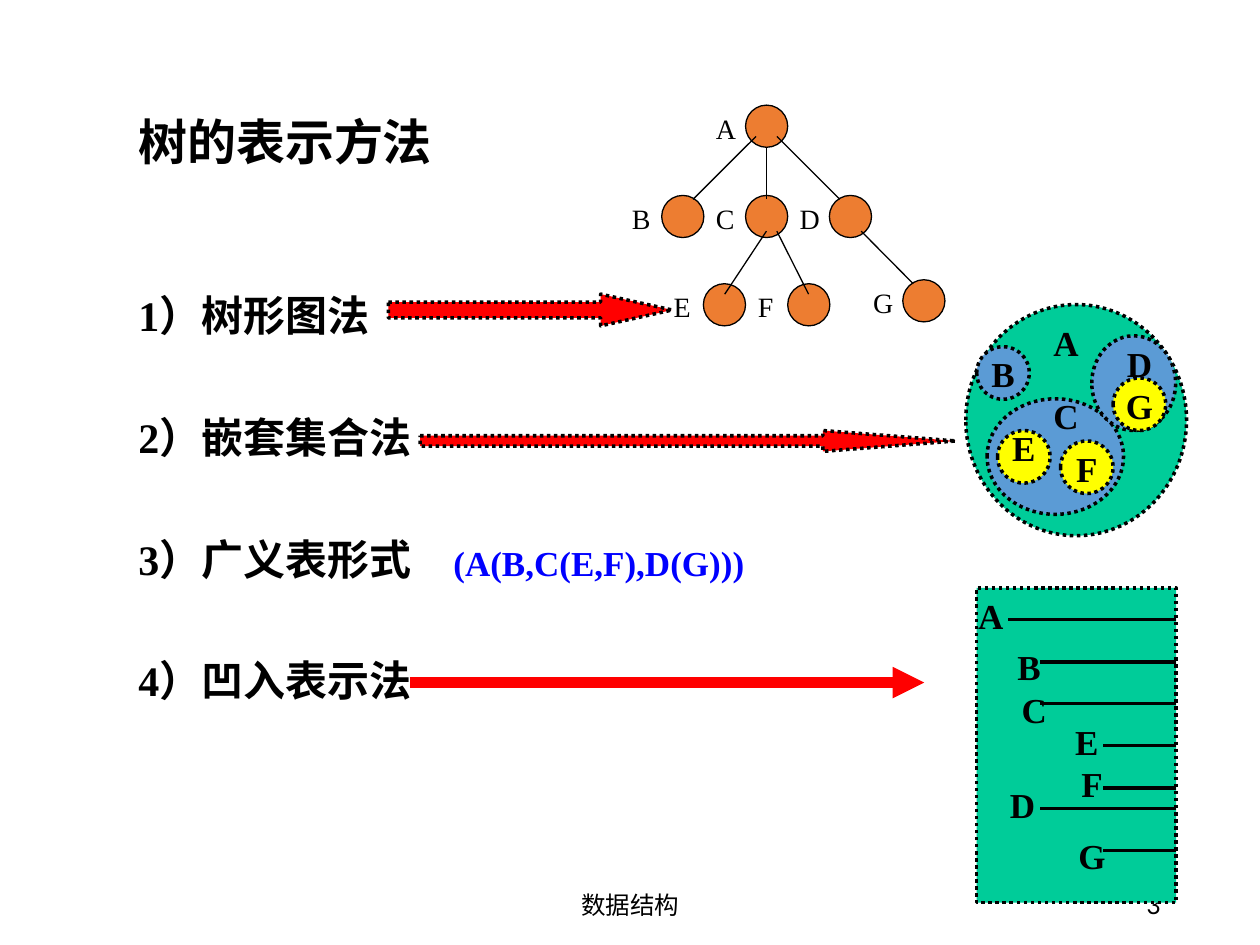
from dataclasses import dataclass
from typing import NamedTuple, Optional

from lxml import etree
from pptx import Presentation
from pptx import util as u
from pptx.dml.color import RGBColor
from pptx.enum import dml, shapes, text
from pptx.oxml.ns import qn


@dataclass(frozen=True)
class Theme:
    ink: str = "000000"
    accent: str = "FF0000"
    formula: str = "0000FF"
    node: str = "ED7D31"
    panel: str = "00CC99"
    subset: str = "5B9BD5"
    leaf: str = "FFFF00"
    serif: str = "Times New Roman"
    heading: str = "Noto Sans CJK SC"
    footer: str = "Lato"
    title_size: float = 28
    method_size: float = 24
    label_size: float = 20
    node_size: float = 16
    footer_size: float = 14
    thin: float = 0.75
    medium: float = 2
    thick: float = 6


class Box(NamedTuple):
    left: float
    top: float
    width: float
    height: float

    def lengths(self) -> list[u.Length]:
        return [u.Cm(value) for value in self]


class Node(NamedTuple):
    letter: str
    left: float
    top: float


class Edge(NamedTuple):
    x1: float
    y1: float
    x2: float
    y2: float


class NestedSet(NamedTuple):
    box: Box
    fill: str


class IndentRow(NamedTuple):
    letter: str
    left: float
    top: float
    width: float
    rule_left: float
    rule_y: float


class Style(NamedTuple):
    size: float
    font: str
    bold: bool = True
    color: str = "000000"
    align: text.PP_ALIGN = text.PP_ALIGN.LEFT
    anchor: text.MSO_ANCHOR = text.MSO_ANCHOR.TOP
    gap: float = 0


THEME = Theme()
TITLE = Style(THEME.title_size, THEME.heading)
METHOD = Style(THEME.method_size, THEME.serif, gap=40.7)
FORMULA = Style(THEME.label_size, THEME.serif, color=THEME.formula)
NODE_LABEL = Style(THEME.node_size, THEME.serif, bold=False)
LABEL = Style(THEME.label_size, THEME.serif, align=text.PP_ALIGN.CENTER)
FOOTER = Style(THEME.footer_size, THEME.footer, bold=False,
               align=text.PP_ALIGN.CENTER, anchor=text.MSO_ANCHOR.BOTTOM)
PAGE = FOOTER._replace(align=text.PP_ALIGN.RIGHT)

NODE_SIZE = 0.85
CIRCLE = 1.06
LABEL_HEIGHT = 1.09

METHODS = ["1）树形图法", "2）嵌套集合法", "3）广义表形式", "4）凹入表示法"]
NODES = [
    Node("A", 15.03, 2.12),
    Node("B", 13.34, 3.94), Node("C", 15.03, 3.94), Node("D", 16.72, 3.94),
    Node("E", 14.18, 5.72), Node("F", 15.88, 5.72), Node("G", 18.2, 5.64),
]
EDGES = [
    Edge(15.66, 2.75, 16.93, 4.02), Edge(15.45, 2.96, 15.45, 4.02),
    Edge(15.24, 2.75, 13.97, 4.02), Edge(15.45, 4.66, 14.61, 5.93),
    Edge(15.66, 4.66, 16.3, 5.93), Edge(17.36, 4.66, 18.41, 5.72),
]
SETS = [
    NestedSet(Box(19.47, 6.14, 4.45, 4.66), THEME.panel),
    NestedSet(Box(19.69, 6.99, CIRCLE, CIRCLE), THEME.subset),
    NestedSet(Box(19.9, 8.04, 2.75, 2.33), THEME.subset),
    NestedSet(Box(21.38, 8.89, CIRCLE, CIRCLE), THEME.leaf),
    NestedSet(Box(20.11, 8.68, CIRCLE, CIRCLE), THEME.leaf),
    NestedSet(Box(22.01, 6.77, 1.69, 1.91), THEME.subset),
    NestedSet(Box(22.44, 7.62, CIRCLE, CIRCLE), THEME.leaf),
]
SET_LABELS = [
    Node("A", 20.96, 6.35), Node("B", 19.69, 6.99), Node("C", 20.96, 7.83),
    Node("E", 20.11, 8.47), Node("F", 21.38, 8.89), Node("D", 22.44, 6.77),
    Node("G", 22.44, 7.62),
]
INDENT_PANEL = Box(19.69, 11.85, 4.02, 6.35)
INDENT_ROWS = [
    IndentRow("A", 19.47, 11.85, 0.64, 20.32, 12.49),
    IndentRow("B", 19.9, 12.88, 1.69, 20.96, 13.34),
    IndentRow("C", 20.32, 13.76, 1.06, 20.96, 14.18),
    IndentRow("E", 21.38, 14.39, 1.06, 22.23, 15.03),
    IndentRow("F", 21.38, 15.24, 1.27, 22.23, 15.88),
    IndentRow("D", 20.11, 15.67, 0.85, 20.96, 16.3),
    IndentRow("G", 21.38, 16.69, 1.27, 22.23, 17.15),
]


def write(slide, box: Box, lines: list[str], style: Style) -> None:
    frame = slide.shapes.add_textbox(*box.lengths()).text_frame
    frame.word_wrap = True
    frame.vertical_anchor = style.anchor
    frame.text = "\n".join(lines)
    for index, paragraph in enumerate(frame.paragraphs):
        paragraph.alignment = style.align
        paragraph.space_before = u.Pt(style.gap if index else 0)
        paragraph.font.name = style.font
        paragraph.font.size = u.Pt(style.size)
        paragraph.font.bold = style.bold
        paragraph.font.color.rgb = RGBColor.from_string(style.color)


def draw_shape(slide, kind: shapes.MSO_SHAPE, box: Box, fill: str,
               width: float = THEME.medium, dotted: bool = True,
               head: Optional[float] = None) -> None:
    outline = slide.shapes.add_shape(kind, *box.lengths())
    outline.shadow.inherit = False
    outline.fill.solid()
    outline.fill.fore_color.rgb = RGBColor.from_string(fill)
    outline.line.color.rgb = RGBColor.from_string(THEME.ink)
    outline.line.width = u.Pt(width)
    if dotted:
        outline.line.dash_style = dml.MSO_LINE.ROUND_DOT
    if head is not None:
        outline.adjustments[1] = head


def draw_line(slide, edge: Edge, width: float, color: str = THEME.ink,
              arrow: bool = False) -> None:
    connector = slide.shapes.add_connector(
        shapes.MSO_CONNECTOR.STRAIGHT, *(u.Cm(value) for value in edge))
    connector.line.color.rgb = RGBColor.from_string(color)
    connector.line.width = u.Pt(width)
    properties = connector._element.spPr
    if arrow:
        etree.SubElement(properties.find(qn("a:ln")), qn("a:tailEnd"), type="triangle")
    etree.SubElement(properties, qn("a:effectLst"))


def draw_tree(slide) -> None:
    for node in NODES:
        draw_shape(slide, shapes.MSO_SHAPE.OVAL,
                   Box(node.left, node.top, NODE_SIZE, NODE_SIZE),
                   THEME.node, THEME.thin, dotted=False)
        write(slide, Box(node.left - NODE_SIZE, node.top, NODE_SIZE, 0.94),
              [node.letter], NODE_LABEL)
    for edge in EDGES:
        draw_line(slide, edge, THEME.thin)


def draw_nested_sets(slide) -> None:
    for nested in SETS:
        draw_shape(slide, shapes.MSO_SHAPE.OVAL, nested.box, nested.fill)
    for label in SET_LABELS:
        write(slide, Box(label.left, label.top, CIRCLE, LABEL_HEIGHT), [label.letter], LABEL)


def draw_indented_list(slide) -> None:
    draw_shape(slide, shapes.MSO_SHAPE.RECTANGLE, INDENT_PANEL, THEME.panel)
    right = INDENT_PANEL.left + INDENT_PANEL.width
    for row in INDENT_ROWS:
        draw_line(slide, Edge(right, row.rule_y, row.rule_left, row.rule_y), THEME.medium)
        write(slide, Box(row.left, row.top, row.width, LABEL_HEIGHT), [row.letter], LABEL)


def main() -> None:
    deck = Presentation()
    deck.slide_width, deck.slide_height = u.Cm(25.4), u.Cm(19.05)
    slide = deck.slides.add_slide(deck.slide_layouts[6])
    write(slide, Box(8.41, 17.65, 8.59, 1.02), ["数据结构"], FOOTER)
    write(slide, Box(17.93, 17.65, 5.72, 1.02), ["3"], PAGE)
    write(slide, Box(2.54, 2.12, 7.2, 1.45), ["树的表示方法"], TITLE)
    write(slide, Box(2.54, 5.72, 6.35, 8.86), METHODS, METHOD)
    write(slide, Box(8.89, 10.8, 7.41, 1.12), ["(A(B,C(E,F),D(G)))"], FORMULA)
    draw_tree(slide)
    draw_shape(slide, shapes.MSO_SHAPE.RIGHT_ARROW, Box(7.83, 5.93, 5.72, 0.64),
               THEME.accent, head=2.25)
    draw_nested_sets(slide)
    draw_shape(slide, shapes.MSO_SHAPE.RIGHT_ARROW, Box(8.47, 8.68, 10.8, 0.42),
               THEME.accent, head=6.38)
    draw_indented_list(slide)
    draw_line(slide, Edge(8.26, 13.76, 18.63, 13.76), THEME.thick, THEME.accent, arrow=True)
    deck.save("out.pptx")


if __name__ == "__main__":
    main()
